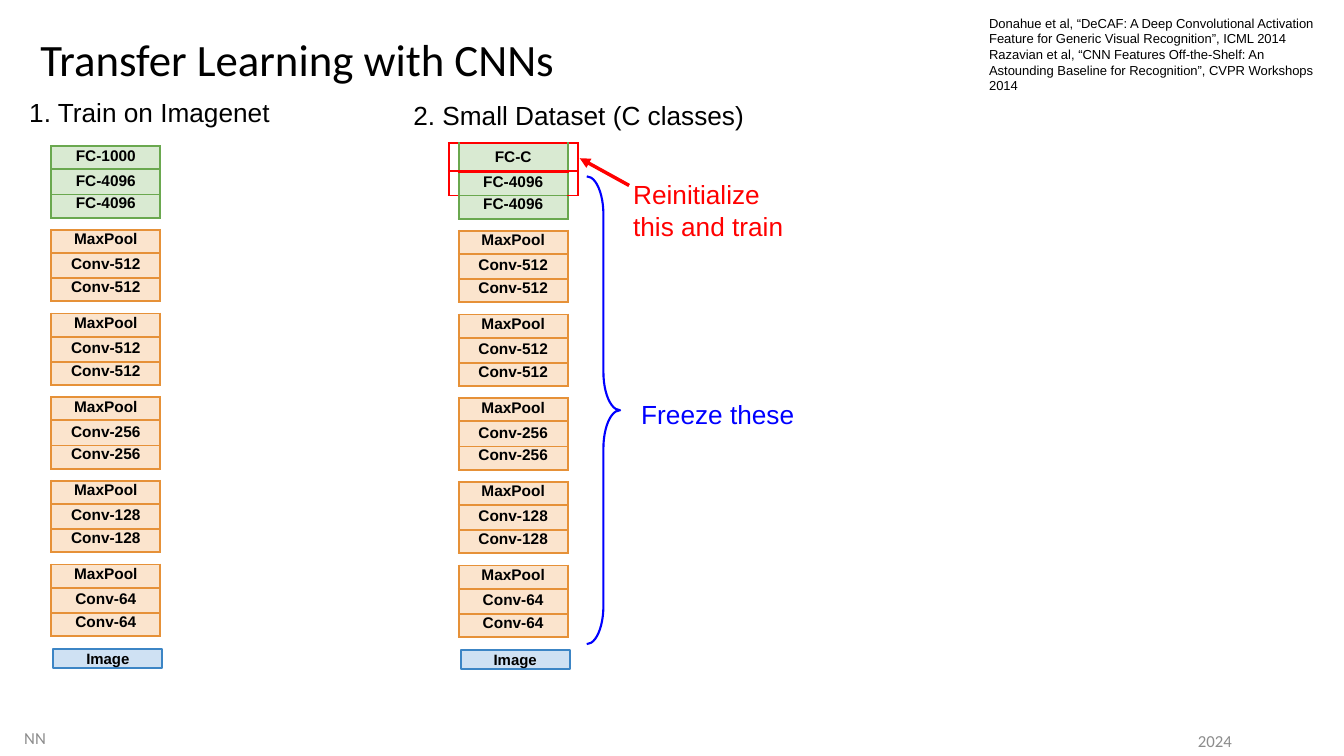
import pptx
import pptx.util
import pptx.dml.color
import pptx.enum.shapes
import pptx.enum.text
import pptx.oxml.ns
from lxml import etree

Inches = pptx.util.Inches
Pt = pptx.util.Pt
ALIGN = pptx.enum.text.PP_ALIGN
ANCHOR = pptx.enum.text.MSO_ANCHOR
SHAPE = pptx.enum.shapes.MSO_SHAPE
qn = pptx.oxml.ns.qn

COLORS = {
    "text": "000000", "footer": "8C8C8C", "train": "FF0000", "freeze": "0000FF",
    "fc_fill": "D9EAD2", "fc_line": "6AA84F",
    "conv_fill": "FBE4CD", "conv_line": "E69138",
    "image_fill": "CFE1F3", "image_line": "3C85C5",
}


class NetworkSlide:
    """Draws the parts of a network diagram on one slide in a shared style."""

    layer_width = 1.08
    row_heights = (0.23, 0.25, 0.23)
    row_margins = (0.01, 0.03, 0.045)
    last_line = 9.3
    block_pitch = 0.83
    conv_sizes = (512, 512, 256, 128, 64)

    def __init__(self, slide):
        self.slide = slide

    def color(self, name):
        return pptx.dml.color.RGBColor.from_string(COLORS[name])

    def style(self, paragraph, size, color="text", font="Arial", bold=False, align=ALIGN.LEFT):
        paragraph.alignment = align
        paragraph.font.size = Pt(size)
        paragraph.font.name = font
        paragraph.font.bold = bold
        paragraph.font.color.rgb = self.color(color)

    def margins(self, frame, left=0, top=0):
        frame.margin_left, frame.margin_top = Inches(left), Inches(top)
        frame.margin_right = frame.margin_bottom = 0

    def text(self, place, lines, size, color="text", font="Arial", anchor=ANCHOR.TOP,
             top=0.04, align=ALIGN.LEFT, spacing=None):
        frame = self.slide.shapes.add_textbox(*map(Inches, place)).text_frame
        frame.word_wrap = True
        frame.vertical_anchor = anchor
        self.margins(frame, 0.02, top)
        frame.text = "\n".join(lines)
        for paragraph in frame.paragraphs:
            self.style(paragraph, size, color, font, align=align)
            if spacing:
                paragraph.line_spacing = Pt(spacing)

    def image_box(self, left, top):
        box = self.slide.shapes.add_shape(
            SHAPE.RECTANGLE, Inches(left), Inches(top), Inches(self.layer_width), Inches(0.19))
        box.shadow.inherit = False
        box.fill.solid()
        box.fill.fore_color.rgb = self.color("image_fill")
        box.line.color.rgb = self.color("image_line")
        box.line.width = Pt(1.5)
        frame = box.text_frame
        self.margins(frame)
        frame.vertical_anchor = ANCHOR.MIDDLE
        frame.text = "Image"
        self.style(frame.paragraphs[0], 10.7, bold=True, align=ALIGN.CENTER)

    def borders(self, cell, edges):
        properties = cell._tc.get_or_add_tcPr()
        for position, (side, edge) in enumerate(zip("LRTB", edges)):
            line = etree.Element(qn("a:ln" + side))
            if edge:
                name, width = edge
                line.set("w", str(Pt(width)))
                fill = etree.SubElement(line, qn("a:solidFill"))
                etree.SubElement(fill, qn("a:srgbClr"), val=COLORS[name])
            else:
                etree.SubElement(line, qn("a:noFill"))
            properties.insert(position, line)

    def layer(self, cell, label, kind, margin, spacing, edges):
        self.margins(cell, top=margin)
        cell.fill.solid()
        cell.fill.fore_color.rgb = self.color(kind + "_fill")
        cell.text = label
        paragraph = cell.text_frame.paragraphs[0]
        self.style(paragraph, 11, bold=True, align=ALIGN.CENTER)
        if spacing:
            paragraph.line_spacing = Pt(spacing)
        self.borders(cell, edges)

    def side(self, cell, edges):
        self.margins(cell)
        cell.fill.background()
        paragraph = cell.text_frame.paragraphs[0]
        etree.SubElement(paragraph._p, qn("a:endParaRPr"), sz="800")
        self.borders(cell, edges)

    def grid(self, left, top, widths, heights):
        table = self.slide.shapes.add_table(
            len(heights), len(widths), Inches(left), Inches(top),
            Inches(sum(widths)), Inches(sum(heights))).table
        table.first_row = table.horz_banding = False
        for column, width in zip(table.columns, widths):
            column.width = Inches(width)
        for row, height in zip(table.rows, heights):
            row.height = Inches(height)
        return table

    def block(self, left, top, labels, kind):
        table = self.grid(left, top, [self.layer_width], self.row_heights)
        edges = [(kind + "_line", 1.5)] * 4
        for row, (label, margin) in enumerate(zip(labels, self.row_margins)):
            spacing = self.last_line if row == 2 else None
            self.layer(table.cell(row, 0), label, kind, margin, spacing, edges)

    def retrained_block(self, left, top):
        table = self.grid(left, top, [0.1, self.layer_width, 0.1], [0.28, 0.24, 0.23])
        green, red, thick = ("fc_line", 1.5), ("train", 1.5), ("train", 3)
        layers = [
            ("FC-C", 0.05, None, red, thick),
            ("FC-4096", 0.02, None, thick, green),
            ("FC-4096", 0.04, self.last_line, green, green),
        ]
        for row, (label, margin, spacing, above, below) in enumerate(layers):
            self.layer(table.cell(row, 1), label, "fc", margin, spacing,
                       (green, green, above, below))
            outer = red if row < 2 else None
            self.side(table.cell(row, 0), (outer, green, red, outer))
            self.side(table.cell(row, 2), (green, outer, red, outer))

    def conv_stack(self, left, top):
        for index, size in enumerate(self.conv_sizes, start=1):
            conv = f"Conv-{size}"
            self.block(left, top + index * self.block_pitch, ["MaxPool", conv, conv], "conv")
        self.image_box(left + 0.02, top + 4.99)

    def arrow(self, start, end):
        arrow = self.slide.shapes.add_connector(
            pptx.enum.shapes.MSO_CONNECTOR.STRAIGHT, *map(Inches, start + end))
        arrow.line.color.rgb = self.color("train")
        arrow.line.width = Pt(2.5)
        etree.SubElement(arrow.line._get_or_add_ln(), qn("a:tailEnd"), type="triangle")
        etree.SubElement(arrow._element.spPr, qn("a:effectLst"))

    def brace(self, place):
        brace = self.slide.shapes.add_shape(SHAPE.RIGHT_BRACE, *map(Inches, place))
        brace.shadow.inherit = False
        brace.fill.background()
        brace.line.color.rgb = self.color("freeze")
        brace.line.width = Pt(1.5)
        brace.adjustments[0] = 1.15


def main():
    deck = pptx.Presentation()
    deck.slide_width, deck.slide_height = Inches(13.33), Inches(7.5)
    page = NetworkSlide(deck.slides.add_slide(deck.slide_layouts[6]))

    page.text((0.38, 0.28, 5.77, 0.56), ["Transfer Learning with CNNs"], 32,
              font="Calibri", anchor=ANCHOR.MIDDLE)

    page.text((0.27, 0.92, 2.6, 0.33), ["1. Train on Imagenet"], 18.7)
    page.block(0.51, 1.45, ["FC-1000", "FC-4096", "FC-4096"], "fc")
    page.conv_stack(0.51, 1.45)

    page.text((4.08, 0.95, 3.5, 0.33), ["2. Small Dataset (C classes)"], 18.7)
    page.conv_stack(4.55, 1.46)
    page.retrained_block(4.45, 1.42)

    page.arrow((6.24, 1.84), (5.75, 1.57))
    page.text((6.26, 1.73, 1.6, 0.65), ["Reinitialize this and train"], 18.7, "train")
    page.brace((5.82, 1.75, 0.33, 4.64))
    page.text((6.34, 3.91, 1.7, 0.33), ["Freeze these"], 18.7, "freeze")

    page.text((9.79, 0.11, 3.35, 0.8), [
        "Donahue et al, “DeCAF: A Deep Convolutional Activation "
        "Feature for Generic Visual Recognition”, ICML 2014",
        "Razavian et al, “CNN Features Off-the-Shelf: An "
        "Astounding Baseline for Recognition”, CVPR Workshops 2014",
    ], 9.3)

    footer = {"size": 12, "color": "footer", "font": "Calibri",
              "anchor": ANCHOR.MIDDLE, "top": 0}
    page.text((0.22, 7.03, 5.61, 0.39), ["NN"], spacing=27.9, **footer)
    page.text((10.88, 7.02, 2.32, 0.43), ["2024"], spacing=30.9, align=ALIGN.CENTER, **footer)

    deck.save("out.pptx")


if __name__ == "__main__":
    main()
